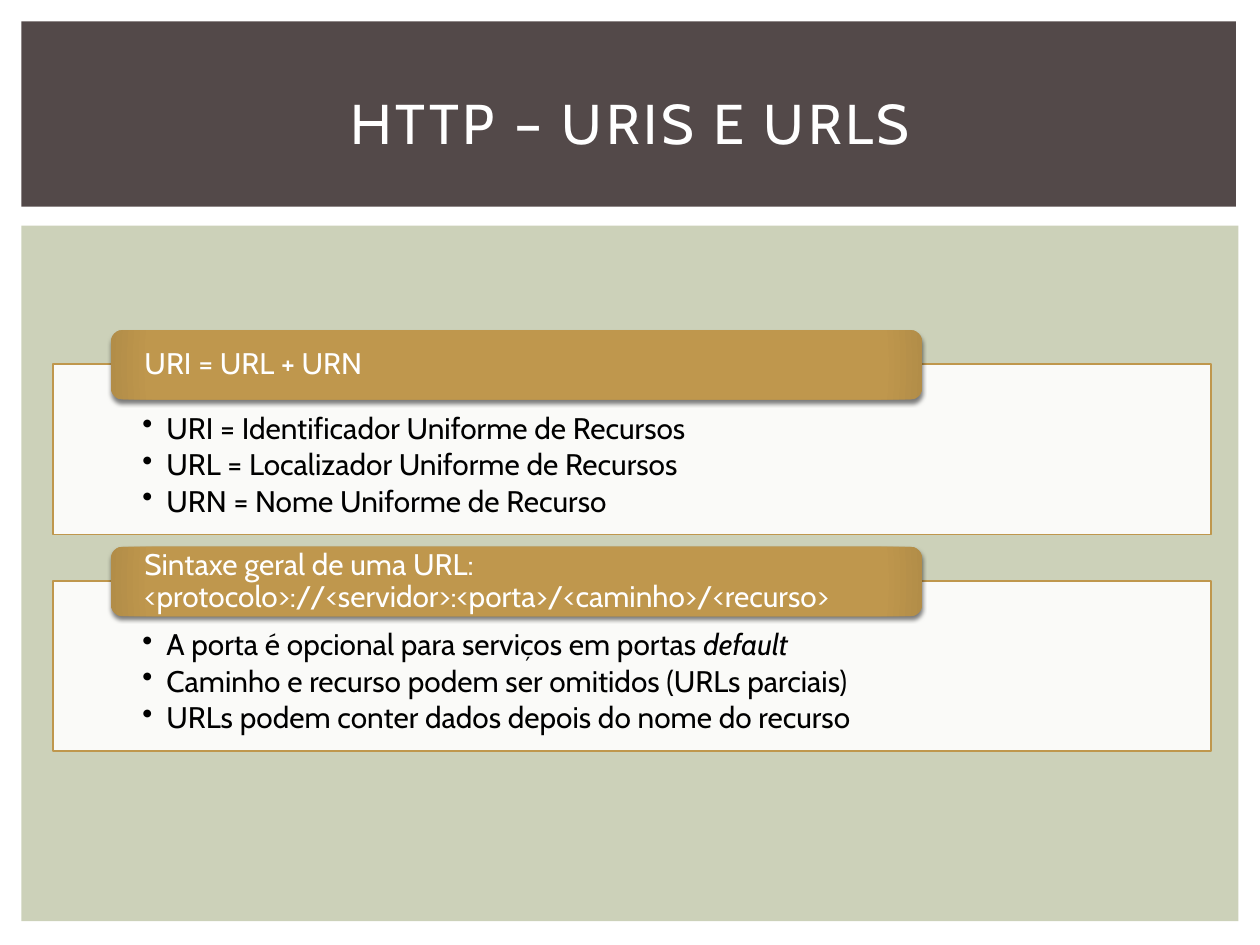
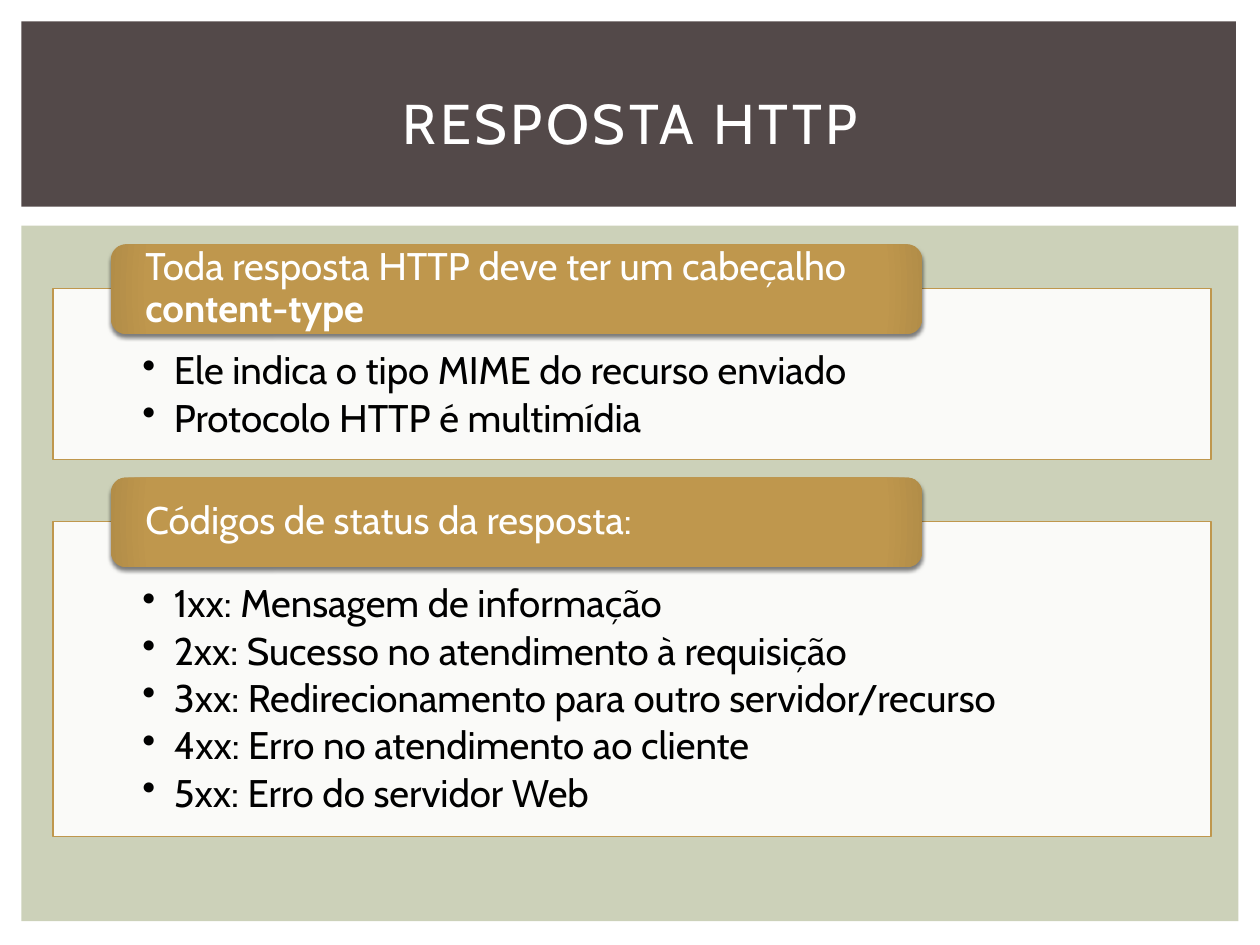
from lxml import etree
from pptx import Presentation
from pptx.dml.color import RGBColor
from pptx.enum.shapes import MSO_SHAPE
from pptx.enum.text import MSO_ANCHOR, PP_ALIGN
from pptx.oxml import parse_xml
from pptx.oxml.ns import nsdecls, qn
from pptx.util import Pt

RECT, ROUND = MSO_SHAPE.RECTANGLE, MSO_SHAPE.ROUNDED_RECTANGLE
TOP, MIDDLE = MSO_ANCHOR.TOP, MSO_ANCHOR.MIDDLE
LEFT, CENTER = PP_ALIGN.LEFT, PP_ALIGN.CENTER

PX = 9144  # 100 px to the inch
FONT = "Cabin"
WHITE = RGBColor(0xFF, 0xFF, 0xFF)
BLACK = RGBColor(0x00, 0x00, 0x00)
BROWN = RGBColor(0x53, 0x49, 0x49)
SAGE = RGBColor(0xCC, 0xD1, 0xB9)
GOLD = RGBColor(0xBF, 0x97, 0x4D)
DARK = RGBColor(0xB2, 0x8D, 0x48)

GRAD = f"""<a:gradFill {nsdecls('a')} rotWithShape="1"><a:gsLst>
<a:gs pos="0"><a:srgbClr val="{GOLD}"/></a:gs>
<a:gs pos="90000"><a:srgbClr val="{GOLD}"/></a:gs>
<a:gs pos="100000"><a:srgbClr val="{DARK}"/></a:gs></a:gsLst>
<a:path path="circle"><a:fillToRect l="100000" t="100000" r="100000" b="100000"/></a:path>
</a:gradFill>"""
SHADOW = f"""<a:effectLst {nsdecls('a')}>
<a:outerShdw blurRad="{Pt(2.5)}" dist="{Pt(2)}" dir="5400000" algn="ctr" rotWithShape="0">
<a:srgbClr val="{BLACK}"><a:alpha val="50000"/></a:srgbClr></a:outerShdw></a:effectLst>"""

SLIDES = [
    dict(title="HTTP – URIS E URLS", top=262, tall=55, gap=10, size=17,
         inset=39, hang=19, accent="italic", cards=[
             (135, "URI = URL + URN",
              ["URI = Identificador Uniforme de Recursos",
               "URL = Localizador Uniforme de Recursos",
               "URN = Nome Uniforme de Recurso"]),
             (135, "Sintaxe geral de uma URL: "
                   "<protocolo>://<servidor>:<porta>/<caminho>/<recurso>",
              ["A porta é opcional para serviços em portas *default*",
               "Caminho e recurso podem ser omitidos (URLs parciais)",
               "URLs podem conter dados depois do nome do recurso"])]),
    dict(title="RESPOSTA HTTP", top=194, tall=71, gap=14, size=22,
         inset=50, hang=25, accent="bold", cards=[
             (136, "Toda resposta HTTP deve ter um cabeçalho *content-type*",
              ["Ele indica o tipo MIME do recurso enviado",
               "Protocolo HTTP é multimídia"]),
             (250, "Códigos de status da resposta:",
              ["1xx: Mensagem de informação",
               "2xx: Sucesso no atendimento à requisição",
               "3xx: Redirecionamento para outro servidor/recurso",
               "4xx: Erro no atendimento ao cliente",
               "5xx: Erro do servidor Web"])]),
]


def block(slide, kind, x, y, w, h, fill):
    shape = slide.shapes.add_shape(kind, x * PX, y * PX, w * PX, h * PX)
    shape.shadow.inherit = False
    shape.fill.solid()
    shape.fill.fore_color.rgb = fill
    shape.line.fill.background()
    return shape


def write(shape, lines, size, color, align=LEFT, anchor=MIDDLE, pad=(10, 5),
          lead=0.9, hang=0, track=0, accent="bold"):
    """Fill a shape with paragraphs; text between asterisks gets the accent."""
    frame = shape.text_frame
    frame.word_wrap = True
    frame.vertical_anchor = anchor
    frame.margin_left = frame.margin_right = pad[0] * PX
    frame.margin_top = frame.margin_bottom = pad[1] * PX
    for i, line in enumerate(lines):
        para = frame.add_paragraph() if i else frame.paragraphs[0]
        para.alignment = align
        para.line_spacing = lead
        if hang:
            para.space_after = Pt(size * 0.15)
            props = para._p.get_or_add_pPr()
            props.set("marL", str(hang * PX))
            props.set("indent", str(-hang * PX))
            etree.SubElement(props, qn("a:buChar")).set("char", "•")
        for j, part in enumerate(line.split("*")):
            if not part:
                continue
            run = para.add_run()
            run.text = part
            run.font.name = FONT
            run.font.size = Pt(size)
            run.font.color.rgb = color
            if j % 2:
                setattr(run.font, accent, True)
            if track:
                run._r.get_or_add_rPr().set("spc", str(track * 100))


deck = Presentation()
deck.slide_width = 1000 * PX
deck.slide_height = 750 * PX

for page in SLIDES:
    slide = deck.slides.add_slide(deck.slide_layouts[6])
    block(slide, RECT, 17, 179, 966, 552, SAGE)
    block(slide, RECT, 17, 17, 964, 147, BROWN)
    title = slide.shapes.add_textbox(42 * PX, 39 * PX, 917 * PX, 115 * PX)
    write(title, [page["title"]], 32, WHITE, align=CENTER, lead=1.0, track=2)

    size, tall, accent = page["size"], page["tall"], page["accent"]
    y = page["top"]
    for height, head, items in page["cards"]:
        top = y + tall // 2
        card = block(slide, RECT, 42, top, 919, height, WHITE)
        tint = card.fill._xPr.find(qn("a:solidFill"))[0]
        etree.SubElement(tint, qn("a:alpha")).set("val", "90000")
        card.line.color.rgb = GOLD
        card.line.width = Pt(0.79)
        write(card, items, size, BLACK, anchor=TOP, pad=(71, page["inset"]),
              hang=page["hang"], accent=accent)

        label = block(slide, ROUND, 88, y, 644, tall, GOLD)
        props = label._element.spPr
        props.replace(props.find(qn("a:solidFill")), parse_xml(GRAD))
        props.replace(props.find(qn("a:effectLst")), parse_xml(SHADOW))
        write(label, [head], size, WHITE, pad=(24, 0), accent=accent)
        y = top + height + page["gap"]

deck.save("out.pptx")
